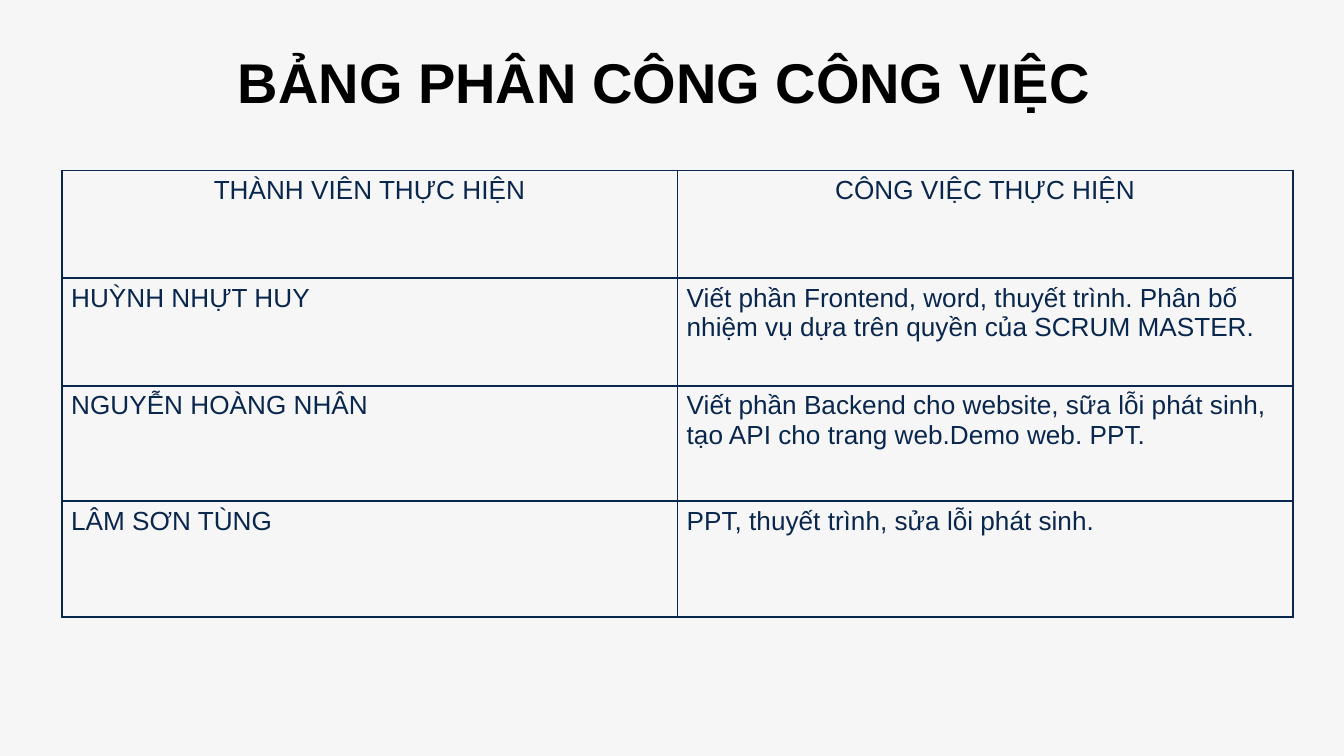
import pptx
import pptx.util
import pptx.dml.color
import pptx.enum.text
import pptx.oxml
import pptx.oxml.ns

Inches = pptx.util.Inches
Pt = pptx.util.Pt
RGB = pptx.dml.color.RGBColor.from_string
PP_ALIGN = pptx.enum.text.PP_ALIGN

COLORS = {"background": "F6F6F6", "title": "000000", "navy": "09264D"}
ROWS = [
    ("THÀNH VIÊN THỰC HIỆN", "CÔNG VIỆC THỰC HIỆN"),
    ("HUỲNH NHỰT HUY",
     "Viết phần Frontend, word, thuyết trình. Phân bố nhiệm vụ dựa trên quyền của SCRUM MASTER."),
    ("NGUYỄN HOÀNG NHÂN",
     "Viết phần Backend cho website, sữa lỗi phát sinh, tạo API cho trang web.Demo web. PPT."),
    ("LÂM SƠN TÙNG", "PPT, thuyết trình, sửa lỗi phát sinh."),
]
ROW_HEIGHTS = [0.8, 0.8, 0.86, 0.86]
COL_WIDTH = 4.58


def style_font(p, size, color, bold=False):
    p.font.name = "Arial"
    p.font.size = Pt(size)
    p.font.bold = bold
    p.font.color.rgb = RGB(COLORS[color])


def add_borders(cell, color):
    tcPr = cell._tc.get_or_add_tcPr()
    for side in ("lnL", "lnR", "lnT", "lnB"):
        tcPr.append(pptx.oxml.parse_xml(
            f'<a:{side} {pptx.oxml.ns.nsdecls("a")} w="{Pt(1)}">'
            f'<a:solidFill><a:srgbClr val="{color}"/></a:solidFill></a:{side}>'))


prs = pptx.Presentation()
prs.slide_width = Inches(10)
prs.slide_height = Inches(10) * 9 // 16
s = prs.slides.add_slide(prs.slide_layouts[5])
s.background.fill.solid()
s.background.fill.fore_color.rgb = RGB(COLORS["background"])

title = s.shapes.title
title.left, title.top = Inches(1.67), Inches(0.3)
title.width, title.height = Inches(6.67), Inches(0.61)
tf = title.text_frame
tf.text = "BẢNG PHÂN CÔNG CÔNG VIỆC"
tf.word_wrap = True
tf.auto_size = pptx.enum.text.MSO_AUTO_SIZE.SHAPE_TO_FIT_TEXT
tf.vertical_anchor = pptx.enum.text.MSO_ANCHOR.TOP
p = tf.paragraphs[0]
p.alignment = PP_ALIGN.LEFT
style_font(p, 30, "title", bold=True)

table = s.shapes.add_table(
    len(ROWS), 2, Inches(0.46), Inches(1.27),
    Inches(2 * COL_WIDTH), Inches(sum(ROW_HEIGHTS))).table
table.first_row = False
table.horz_banding = False
for col in table.columns:
    col.width = Inches(COL_WIDTH)

for i, (texts, height) in enumerate(zip(ROWS, ROW_HEIGHTS)):
    table.rows[i].height = Inches(height)
    for j, text in enumerate(texts):
        cell = table.cell(i, j)
        cell.text = text
        cell.margin_left = cell.margin_right = Inches(0.07)
        cell.margin_top = cell.margin_bottom = Inches(0.04)
        p = cell.text_frame.paragraphs[0]
        p.alignment = PP_ALIGN.CENTER if i == 0 else PP_ALIGN.LEFT
        style_font(p, 14, "navy")
        add_borders(cell, COLORS["navy"])
        cell.fill.solid()
        cell.fill.fore_color.rgb = RGB(COLORS["background"])

prs.save("out.pptx")
